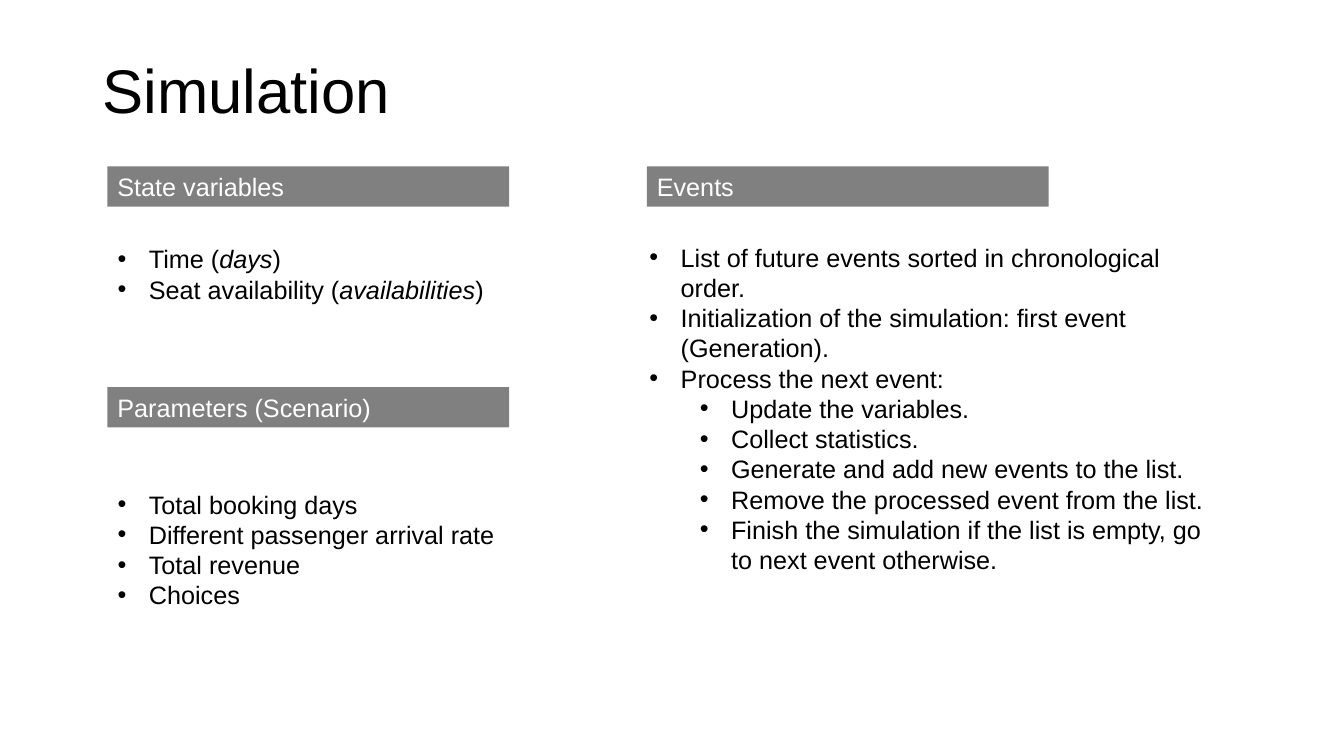
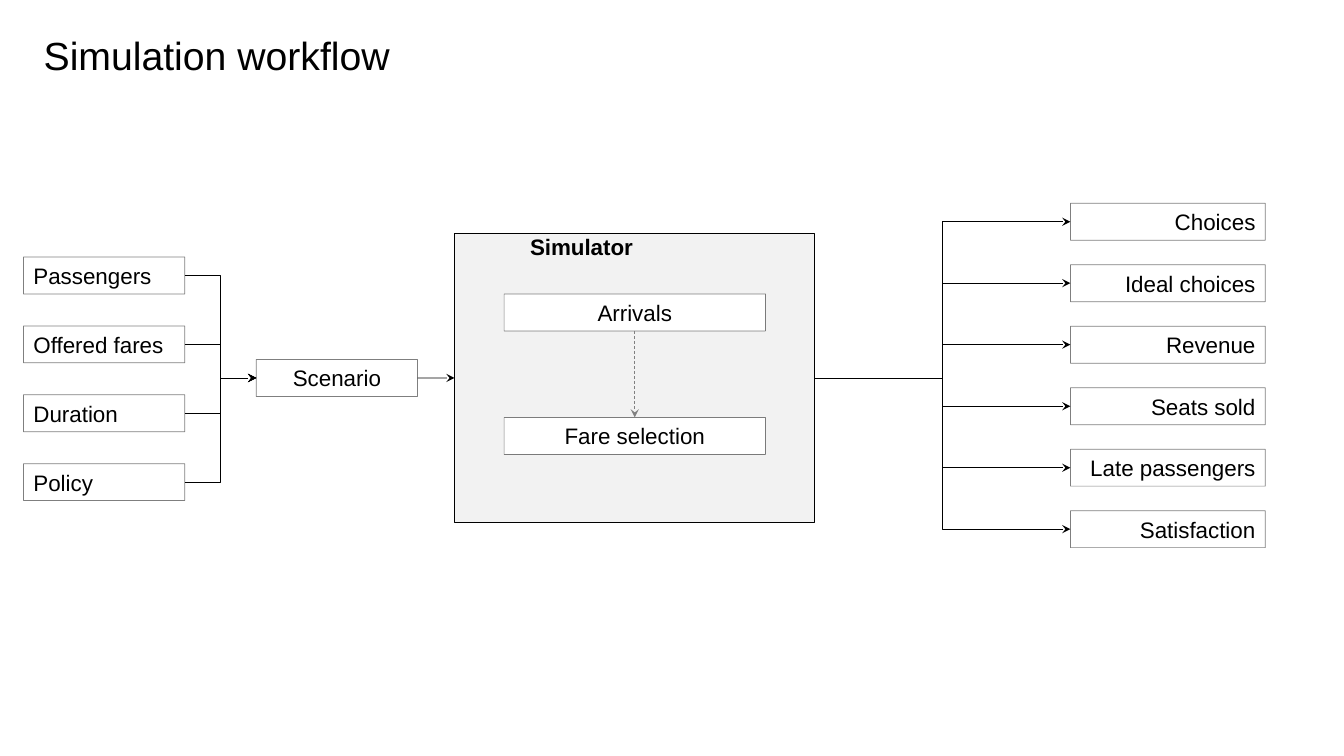
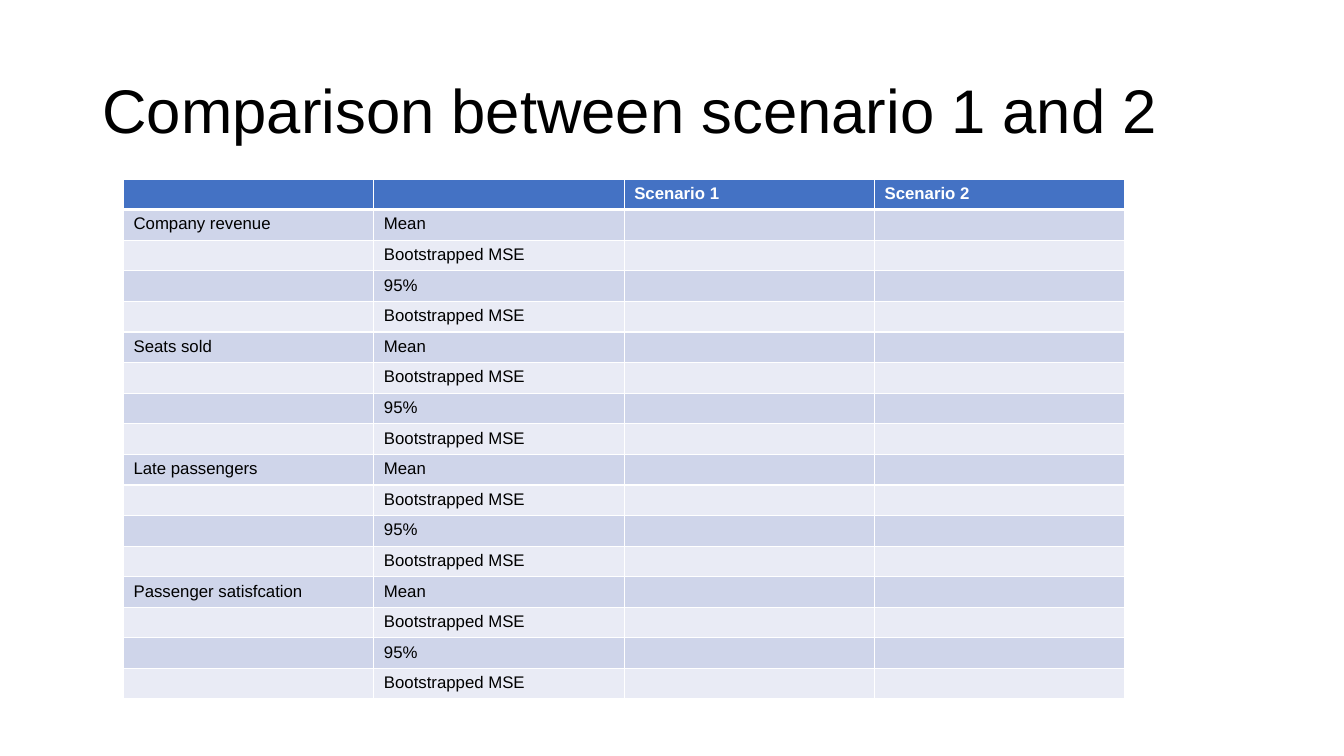
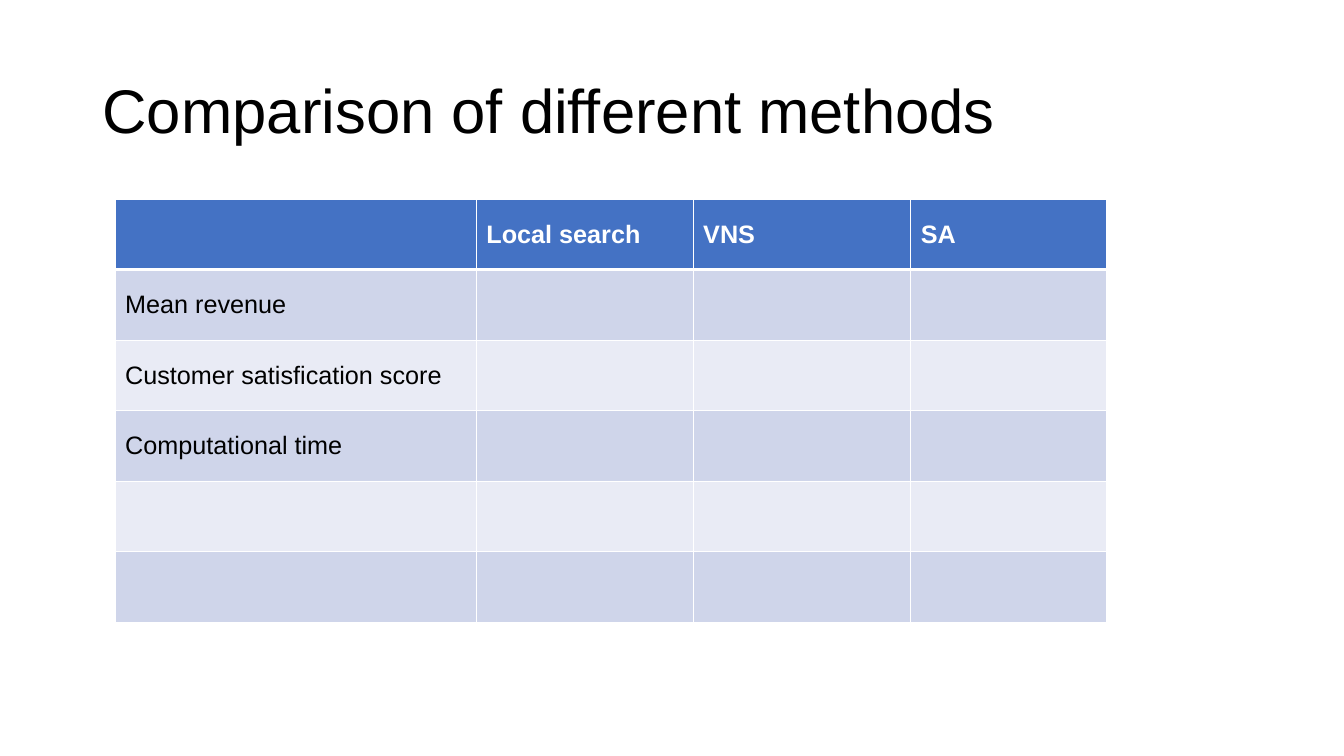
from dataclasses import dataclass

from lxml.etree import SubElement
from pptx import Presentation
from pptx.dml.color import RGBColor
from pptx.enum.dml import MSO_LINE
from pptx.enum.shapes import MSO_CONNECTOR, MSO_SHAPE
from pptx.enum.text import MSO_ANCHOR, MSO_AUTO_SIZE, PP_ALIGN
from pptx.oxml.ns import qn
from pptx.util import Inches, Pt


@dataclass(frozen=True)
class Theme:
    """Colours, type sizes and line widths shared by all slides."""

    font: str = "Arial"
    ink: str = "000000"
    paper: str = "FFFFFF"
    grey: str = "808080"
    panel: str = "F2F2F2"
    header: str = "4472C4"
    bands: tuple = ("CFD5EA", "E9EBF5")
    title: int = 44
    small_title: int = 28
    body: int = 18
    node: int = 16
    dense: int = 12
    hairline: float = 0.5
    rule: int = 1
    header_rule: int = 3


@dataclass(frozen=True)
class Box:
    """A region in cells of a grid with 160 columns and 90 rows."""

    x: float
    y: float
    w: float
    h: float

    def emu(self):
        """Return left, top, width and height as lengths."""
        return [cells(v) for v in (self.x, self.y, self.w, self.h)]

    def stack(self, n, h):
        """Return n boxes of height h spread evenly from top to bottom."""
        pitch = (self.h - h) / (n - 1)
        return [Box(self.x, self.y + i * pitch, self.w, h) for i in range(n)]


THEME = Theme()
CELL = 7.5 / 90
NODE_H = 4.4
TITLE_ONLY, COMPARISON = 5, 4
LEFT, TOP, RIGHT, BOTTOM = 1, 0, 3, 2


def cells(n):
    """Convert grid cells to a length."""
    return Inches(n * CELL)


def rgb(code):
    """Convert a hex code to a colour."""
    return RGBColor.from_string(code)


def add_run(p, text, size, color=THEME.ink, bold=False, italic=False):
    """Add one formatted run to a paragraph."""
    r = p.add_run()
    r.text = text
    f = r.font
    f.name, f.size, f.bold, f.italic = THEME.font, Pt(size), bold, italic
    f.color.rgb = rgb(color)


def place(sp, box):
    """Move a shape to a box."""
    sp.left, sp.top, sp.width, sp.height = box.emu()


def set_title(s, text, box, size=THEME.title, spacing=0.9, anchor=MSO_ANCHOR.MIDDLE):
    """Fill and place the title placeholder."""
    sp = s.shapes.title
    place(sp, box)
    tf = sp.text_frame
    tf.auto_size = MSO_AUTO_SIZE.NONE
    tf.vertical_anchor = anchor
    p = tf.paragraphs[0]
    p.alignment, p.line_spacing = PP_ALIGN.LEFT, spacing
    add_run(p, text, size)


def add_rect(s, box, fill=None, line=None):
    """Add a plain rectangle with optional fill and outline."""
    sp = s.shapes.add_shape(MSO_SHAPE.RECTANGLE, *box.emu())
    sp.shadow.inherit = False
    if fill:
        sp.fill.solid()
        sp.fill.fore_color.rgb = rgb(fill)
    else:
        sp.fill.background()
    if line:
        sp.line.color.rgb = rgb(line)
        sp.line.width = Pt(THEME.hairline)
    else:
        sp.line.fill.background()
    return sp


def add_heading(s, text, box):
    """Add a grey heading band."""
    tf = add_rect(s, box, THEME.grey).text_frame
    tf.vertical_anchor = MSO_ANCHOR.MIDDLE
    p = tf.paragraphs[0]
    p.alignment = PP_ALIGN.LEFT
    add_run(p, text, THEME.body, THEME.paper)


def set_list(sp, items, box):
    """Fill a body placeholder with bullets, every second part in italics."""
    place(sp, box)
    tf = sp.text_frame
    tf.auto_size = MSO_AUTO_SIZE.NONE
    tf.vertical_anchor = MSO_ANCHOR.TOP
    for i, (level, *parts) in enumerate(items):
        p = tf.add_paragraph() if i else tf.paragraphs[0]
        p.level = level
        p.space_before = Pt(0)
        pPr = p._p.get_or_add_pPr()
        pPr.set("marL", str(Inches(0.31 + 0.5 * level)))
        pPr.set("indent", str(Inches(-0.31)))
        SubElement(pPr, qn("a:buFont"), typeface=THEME.font)
        SubElement(pPr, qn("a:buChar"), char="•")
        for j, part in enumerate(parts):
            add_run(p, part, THEME.body, italic=j % 2 == 1)


def add_node(s, text, box, align=PP_ALIGN.CENTER, fill=None):
    """Add a labelled box with a half-transparent outline."""
    sp = add_rect(s, box, fill, THEME.ink)
    color = next(sp._element.spPr.find(qn("a:ln")).iter(qn("a:srgbClr")))
    SubElement(color, qn("a:alpha"), val="50000")
    tf = sp.text_frame
    tf.word_wrap = True
    tf.auto_size = MSO_AUTO_SIZE.SHAPE_TO_FIT_TEXT
    tf.vertical_anchor = MSO_ANCHOR.TOP
    p = tf.paragraphs[0]
    p.alignment = align
    add_run(p, text, THEME.node)
    return sp


def add_column(s, labels, box, align, fill=None):
    """Add an evenly spaced column of nodes."""
    boxes = box.stack(len(labels), NODE_H)
    return [add_node(s, t, b, align, fill) for t, b in zip(labels, boxes)]


def add_arrow(s, start, end, kind=MSO_CONNECTOR.ELBOW, sites=(RIGHT, LEFT),
              color=THEME.ink, dash=None):
    """Connect two shapes with an arrow."""
    c = s.shapes.add_connector(kind, 0, 0, 0, 0)
    c.begin_connect(start, sites[0])
    c.end_connect(end, sites[1])
    c.line.color.rgb = rgb(color)
    c.line.width = Pt(THEME.hairline)
    if dash:
        c.line.dash_style = dash
    spPr = c._element.spPr
    SubElement(spPr.find(qn("a:ln")), qn("a:tailEnd"), type="stealth")
    SubElement(spPr, qn("a:effectLst"))


def add_simulator(s, box):
    """Add the simulator panel with its two steps."""
    panel = add_rect(s, box, THEME.panel, THEME.ink)
    label = Box(box.x + 7.8, box.y - 0.6, 23.2, NODE_H)
    tf = s.shapes.add_textbox(*label.emu()).text_frame
    tf.word_wrap = True
    add_run(tf.paragraphs[0], "Simulator", THEME.node, bold=True)
    steps = Box(box.x + 5.9, box.y + 7.2, 31.1, 19.1)
    arrivals, fares = add_column(s, ["Arrivals", "Fare selection"], steps,
                                 PP_ALIGN.CENTER, THEME.paper)
    add_arrow(s, arrivals, fares, MSO_CONNECTOR.STRAIGHT, (BOTTOM, TOP),
              THEME.grey, MSO_LINE.DASH)
    return panel


def set_borders(cell, top, bottom):
    """Give a cell white borders with the given top and bottom widths."""
    tcPr = cell._tc.get_or_add_tcPr()
    widths = {"a:lnL": THEME.rule, "a:lnR": THEME.rule, "a:lnT": top, "a:lnB": bottom}
    for i, (tag, width) in enumerate(widths.items()):
        ln = SubElement(tcPr, qn(tag), w=str(Pt(width)))
        fill = SubElement(ln, qn("a:solidFill"))
        SubElement(fill, qn("a:srgbClr"), val=THEME.paper)
        tcPr.insert(i, ln)


def add_banded_table(s, rows, box, widths, size, anchor):
    """Add a table with a blue header and alternating bands."""
    table = s.shapes.add_table(len(rows), len(widths), *box.emu()).table
    for col, width in zip(table.columns, widths):
        col.width = cells(width)
    for i, row in enumerate(rows):
        table.rows[i].height = cells(box.h / len(rows))
        for j in range(len(widths)):
            cell = table.cell(i, j)
            cell.vertical_anchor = anchor
            cell.fill.solid()
            cell.fill.fore_color.rgb = rgb(THEME.bands[(i - 1) % 2] if i else THEME.header)
            set_borders(cell, THEME.header_rule if i == 1 else THEME.rule,
                        THEME.rule if i else THEME.header_rule)
            p = cell.text_frame.paragraphs[0]
            if j < len(row) and row[j]:
                add_run(p, row[j], size, THEME.ink if i else THEME.paper, bold=i == 0)
            else:
                SubElement(p._p, qn("a:endParaRPr"), sz=str(size * 100))


def lists_slide(prs):
    """Build the slide on state variables, parameters and events."""
    s = prs.slides.add_slide(prs.slide_layouts[COMPARISON])
    set_title(s, "Simulation", Box(11, 2.4, 138, 17.4))
    sections = [
        ("State variables", Box(12.8, 19.8, 47.8, 4.8), Box(12.8, 28.4, 49, 8.5),
         [(0, "Time (", "days", ")"),
          (0, "Seat availability (", "availabilities", ")")]),
        ("Parameters (Scenario)", Box(12.8, 46.1, 47.8, 4.8), Box(12.8, 57.6, 49, 15.7),
         [(0, "Total booking days"), (0, "Different passenger arrival rate"),
          (0, "Total revenue"), (0, "Choices")]),
        ("Events", Box(77, 19.8, 47.8, 4.8), Box(76.1, 28.2, 70.1, 41.2),
         [(0, "List of future events sorted in chronological order."),
          (0, "Initialization of the simulation: first event (Generation)."),
          (0, "Process the next event:"),
          (1, "Update the variables."),
          (1, "Collect statistics."),
          (1, "Generate and add new events to the list."),
          (1, "Remove the processed event from the list."),
          (1, "Finish the simulation if the list is empty, go to next event otherwise.")]),
    ]
    *bodies, spare = list(s.placeholders)[1:]
    spare._element.getparent().remove(spare._element)
    for body, (heading, band, box, items) in zip(bodies, sections):
        add_heading(s, heading, band)
        set_list(body, items, box)


def workflow_slide(prs):
    """Build the diagram from inputs through the simulator to outputs."""
    s = prs.slides.add_slide(prs.slide_layouts[TITLE_ONLY])
    set_title(s, "Simulation workflow", Box(4, 3.1, 88.2, 6.8),
              THEME.small_title, 1, MSO_ANCHOR.TOP)
    simulator = add_simulator(s, Box(54.1, 27.8, 42.8, 34.4))
    scenario = add_node(s, "Scenario", Box(30.5, 42.8, 19.2, NODE_H))
    inputs = add_column(s, ["Passengers", "Offered fares", "Duration", "Policy"],
                        Box(2.8, 30.6, 19.2, 29), PP_ALIGN.LEFT)
    outputs = add_column(s, ["Choices", "Ideal choices", "Revenue", "Seats sold",
                             "Late passengers", "Satisfaction"],
                         Box(127.4, 24.2, 23.2, 41), PP_ALIGN.RIGHT)
    add_arrow(s, scenario, simulator, MSO_CONNECTOR.STRAIGHT)
    for node in inputs:
        add_arrow(s, node, scenario)
    for node in outputs:
        add_arrow(s, simulator, node)


def table_slide(prs, title, rows, box, widths, size, anchor):
    """Build a slide with a title and one table."""
    s = prs.slides.add_slide(prs.slide_layouts[TITLE_ONLY])
    set_title(s, title, Box(11, 4.8, 138, 17.4))
    add_banded_table(s, rows, box, widths, size, anchor)


def main():
    """Build and save the presentation."""
    prs = Presentation()
    prs.slide_width, prs.slide_height = Inches(13.33), Inches(7.5)
    lists_slide(prs)
    workflow_slide(prs)
    measures = ["Company revenue", "Seats sold", "Late passengers", "Passenger satisfcation"]
    statistics = ["Mean", "Bootstrapped MSE", "95%", "Bootstrapped MSE"]
    scenario_rows = [["", "", "Scenario 1", "Scenario 2"]]
    for measure in measures:
        scenario_rows += [["" if i else measure, t] for i, t in enumerate(statistics)]
    table_slide(prs, "Comparison between scenario 1 and 2", scenario_rows,
                Box(14.7, 21.3, 119.2, 61.2), [29.8] * 4, THEME.dense, MSO_ANCHOR.TOP)
    method_rows = [["", "Local search", "VNS", "SA"], ["Mean revenue"],
                   ["Customer satisfication score"], ["Computational time"], [], []]
    table_slide(prs, "Comparison of different methods", method_rows,
                Box(13.7, 23.7, 118, 50.4), [43, 25.8, 25.9, 23.3],
                THEME.body, MSO_ANCHOR.MIDDLE)
    prs.save("out.pptx")


if __name__ == "__main__":
    main()
